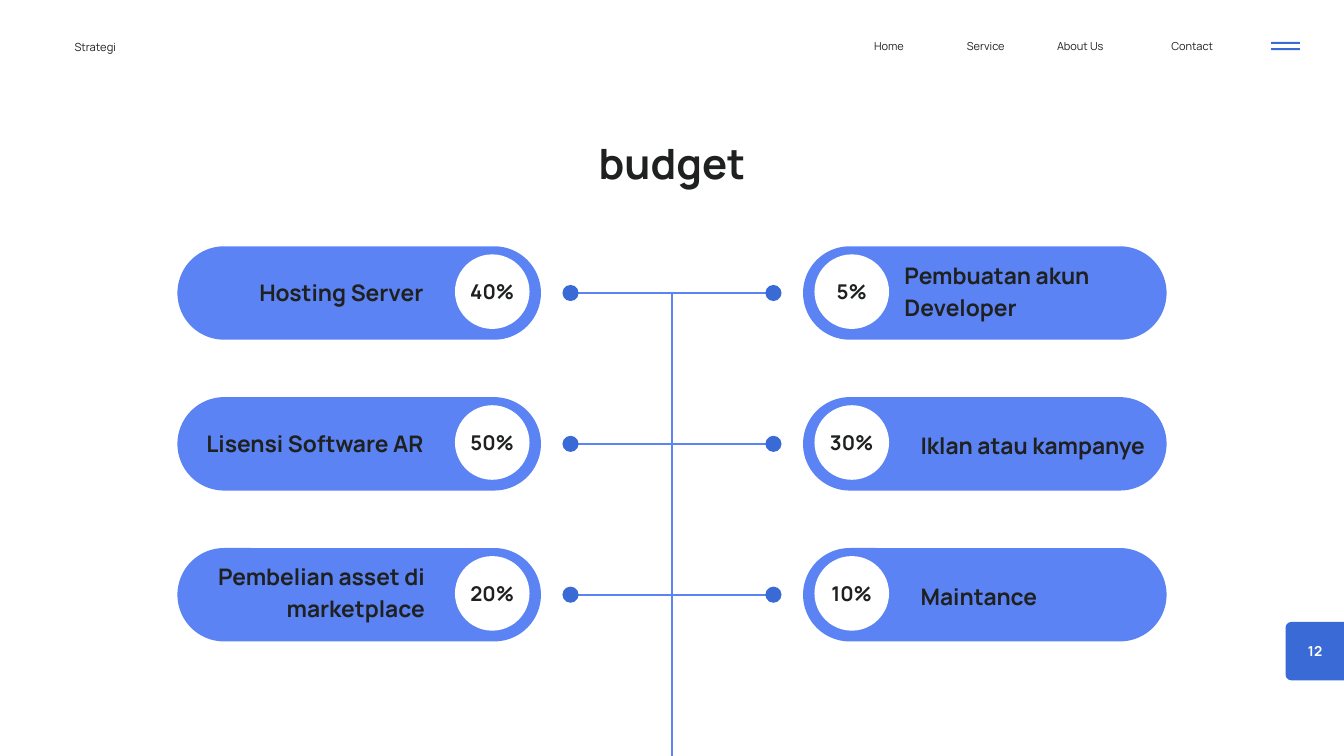
from pptx import Presentation
from pptx.dml.color import RGBColor
from pptx.enum.shapes import MSO_CONNECTOR as Link, MSO_SHAPE as Form
from pptx.enum.text import MSO_ANCHOR as Anchor, MSO_AUTO_SIZE as Fit, PP_ALIGN as Align
from pptx.oxml.ns import qn
from pptx.util import Inches, Pt
from lxml.etree import SubElement

WIDE, HIGH = 20, 11.25
MID = WIDE / 2
TOP, STEP = 4.36, 2.245
PILL, DISC, DOT = 4.655, 2.675, 1.51
INK = RGBColor(0x1F, 0x20, 0x20)
WHITE = RGBColor(0xFF, 0xFF, 0xFF)
BLUE = RGBColor(0x5B, 0x83, 0xF3)
DEEP = RGBColor(0x3A, 0x6A, 0xD6)
MENU = [("Home", 13.01), ("Service", 14.39), ("About Us", 15.73), ("Contact", 17.43)]
# Each item: label, share, label left, label rise above the row's middle
LEFT = [("Hosting Server", "40%", 2.53, 0.28),
        ("Lisensi Software AR", "50%", 2.53, 0.28),
        ("Pembelian asset di marketplace", "20%", 2.55, 0.55)]
RIGHT = [("Pembuatan akun Developer", "5%", 13.46, 0.53),
         ("Iklan atau kampanye", "30%", 13.7, 0.25),
         ("Maintance", "10%", 13.7, 0.25)]


def fill_text(shape, text, size, lead, align=Align.LEFT, color=INK, bold=True):
    """Set one styled paragraph in a shape without margins."""
    frame = shape.text_frame
    frame.margin_left = frame.margin_right = 0
    frame.margin_top = frame.margin_bottom = 0
    frame.word_wrap = True
    frame.auto_size = Fit.NONE
    frame.vertical_anchor = Anchor.TOP
    frame.text = text
    para = frame.paragraphs[0]
    para.alignment = align
    para.line_spacing = Pt(lead)
    font = para.font
    font.name, font.size, font.bold = "Manrope", Pt(size), bold
    font.color.rgb = color


def add_text(slide, text, box, size, lead, **style):
    """Add a text box."""
    fill_text(slide.shapes.add_textbox(*map(Inches, box)), text, size, lead, **style)


def add_form(slide, form, x, y, wide, high, color):
    """Add a plain filled shape centred on a point."""
    box = x - wide / 2, y - high / 2, wide, high
    shape = slide.shapes.add_shape(form, *map(Inches, box))
    shape.shadow.inherit = False
    shape.fill.solid()
    shape.fill.fore_color.rgb = color
    shape.line.fill.background()
    return shape


def add_line(slide, *ends):
    """Add a straight blue line."""
    line = slide.shapes.add_connector(Link.STRAIGHT, *map(Inches, ends))
    line.line.color.rgb = BLUE
    line.line.width = Pt(2.25)
    SubElement(line._element.spPr, qn("a:effectLst"))


def add_item(slide, side, y, item):
    """Add a pill with its share and label; side is -1 for left, 1 for right."""
    label, share, left, rise = item
    pill = add_form(slide, Form.ROUNDED_RECTANGLE, MID + side * PILL, y, 5.41, 1.39, BLUE)
    pill.adjustments[0] = 0.5
    x = MID + side * DISC
    add_form(slide, Form.OVAL, x, y - 0.02, 1.11, 1.11, WHITE)
    align = Align.RIGHT if side < 0 else Align.LEFT
    add_text(slide, label, (left, y - rise, 3.77, 0.95 if rise > 0.5 else 0.48),
             24.4, 34.2, align=align)
    add_text(slide, share, (x - 0.405, y - 0.27, 0.81, 0.43), 21.8, 30.6, align=Align.CENTER)


def add_row(slide, y, pair):
    """Add a left and a right item joined by a dotted-end line."""
    for side, item in zip((-1, 1), pair):
        add_item(slide, side, y, item)
    add_line(slide, MID - DOT, y, MID + DOT, y)
    for side in (-1, 1):
        add_form(slide, Form.OVAL, MID + side * DOT, y, 0.24, 0.24, DEEP)


def add_head(slide):
    """Add the top bar and its menu icon."""
    for y in (0.64, 0.73):
        add_form(slide, Form.RECTANGLE, 19.13, y, 0.43, 0.03, DEEP)
    for word, left in MENU:
        add_text(slide, word, (left, 0.56, 1.1, 0.23), 11.8, 16.6, bold=False)
    add_text(slide, "Strategi", (1.11, 0.56, 1.79, 0.23), 12, 16.8, bold=False)


def add_page(slide):
    """Add the page number tab at the right edge."""
    tab = add_form(slide, Form.ROUNDED_RECTANGLE, 19.65, 9.69, 1.04, 0.87, DEEP)
    tab.adjustments[0] = 0.1
    add_text(slide, "12", (19.33, 9.53, 0.48, 0.28), 14.7, 20.6,
             align=Align.CENTER, color=WHITE)


def main():
    """Build the budget slide."""
    deck = Presentation()
    deck.slide_width, deck.slide_height = Inches(WIDE), Inches(HIGH)
    slide = deck.slides.add_slide(deck.slide_layouts[5])
    title = slide.shapes.title
    title.left, title.top, title.width, title.height = map(Inches, (5.85, 1.92, 8.3, 0.89))
    fill_text(title, "budget", 44.8, 62.6, align=Align.CENTER)
    add_head(slide)
    add_page(slide)
    for row, pair in enumerate(zip(LEFT, RIGHT)):
        add_row(slide, TOP + row * STEP, pair)
    add_line(slide, MID, TOP, MID, HIGH)
    deck.save("out.pptx")


if __name__ == "__main__":
    main()
